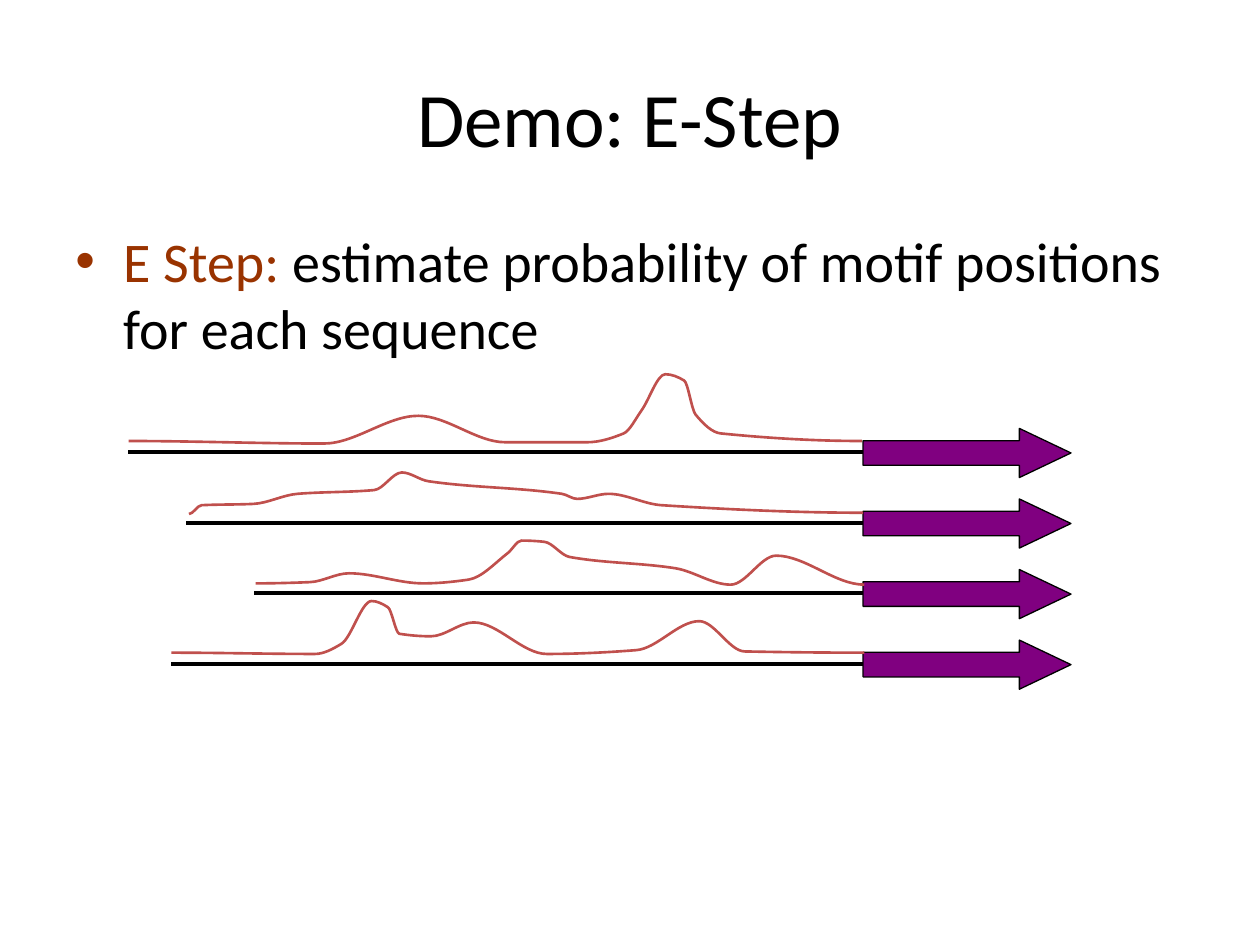
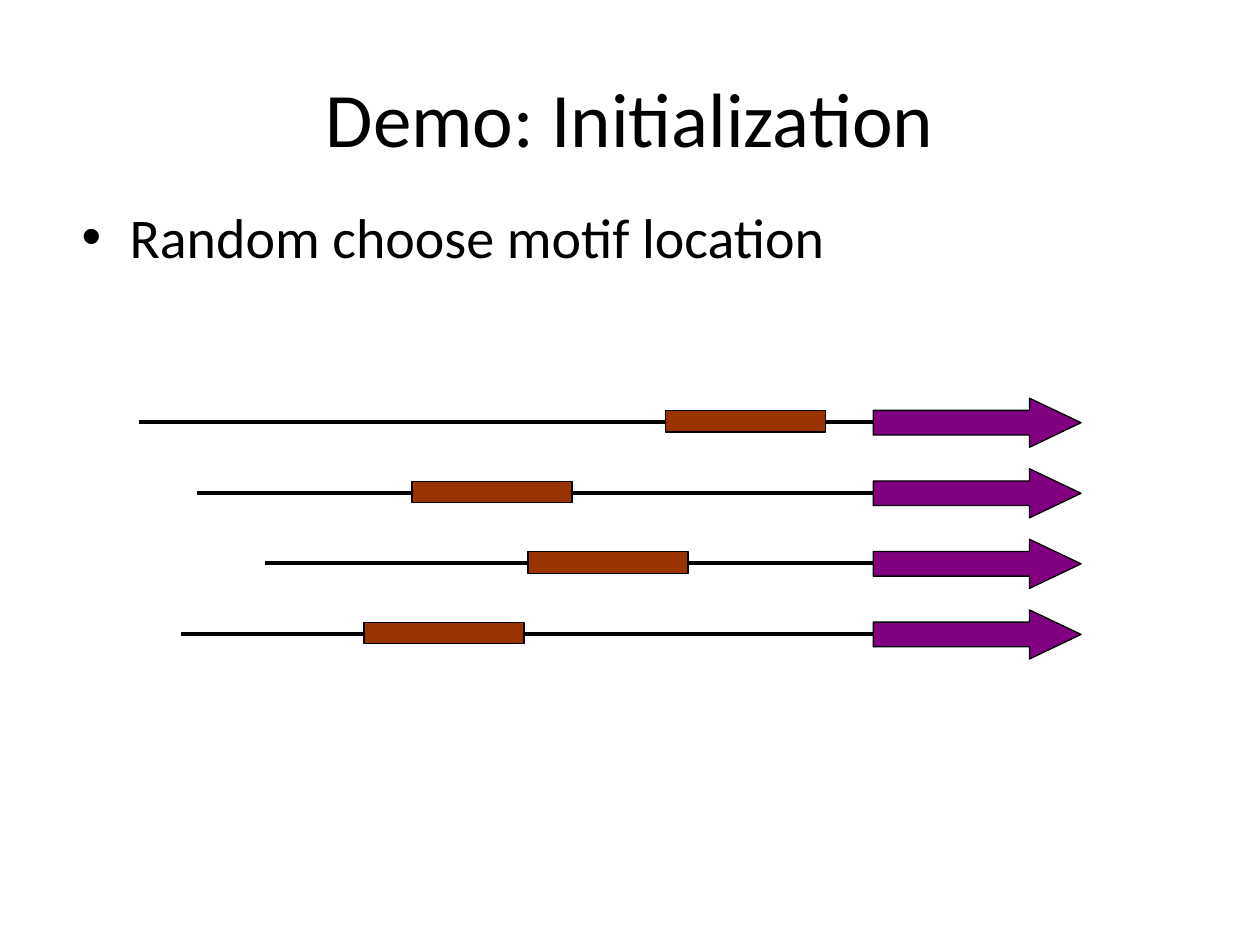
import lxml.etree
import pptx
import pptx.dml.color
import pptx.enum.shapes
import pptx.enum.text
import pptx.oxml.ns
import pptx.util

EMU_PER_PX = 9144  # 100 px to the inch
FONT = "Calibri"
BLACK, RUST, PURPLE, RED = "000000", "993300", "800080", "C0504D"

SEQUENCE_STARTS = [102, 148, 202, 136]
SEQUENCE_END = 839
ROW_PITCH = 56
GENE_LEFT, GENE_WIDTH, GENE_HEIGHT = 685, 165, 39
MOTIF_LEFTS = [528, 327, 419, 289]
MOTIF_WIDTH, MOTIF_HEIGHT = 127, 17

# Turning points of each probability curve: x and height above its sequence.
PROBABILITIES = [
    [(102, 9), (257, 7), (332, 29), (401, 8), (466, 8), (495, 15),
     (509, 33), (528, 62), (543, 57), (552, 30), (572, 15), (684, 9)],
    [(150, 7), (160, 14), (201, 15), (236, 23), (297, 26), (319, 40),
     (340, 33), (446, 23), (458, 19), (483, 23), (525, 14), (685, 8)],
    [(203, 8), (246, 9), (277, 16), (336, 8), (372, 11), (403, 32), (414, 42),
     (432, 41), (452, 29), (536, 20), (580, 7), (616, 30), (686, 7)],
    [(136, 9), (250, 8), (271, 16), (295, 50), (308, 45), (317, 24),
     (342, 22), (376, 33), (434, 8), (505, 11), (555, 34), (591, 10),
     (686, 9)],
]


def px(length):
    return pptx.util.Emu(round(length * EMU_PER_PX))


def color(hex_string):
    return pptx.dml.color.RGBColor.from_string(hex_string)


def set_line(shape, hex_string, points):
    shape.line.color.rgb = color(hex_string)
    shape.line.width = pptx.util.Pt(points)


def add_text(slide, box, size, runs):
    """Add one paragraph made of (text, colour) runs."""
    frame = slide.shapes.add_textbox(*map(px, box)).text_frame
    frame.word_wrap = True
    paragraph = frame.paragraphs[0]
    for text, hex_string in runs:
        run = paragraph.add_run()
        run.text = text
        run.font.name = FONT
        run.font.size = pptx.util.Pt(size)
        run.font.color.rgb = color(hex_string)
    return frame


def add_title(slide, text):
    frame = add_text(slide, (50, 30, 900, 125), 44, [(text, BLACK)])
    frame.vertical_anchor = pptx.enum.text.MSO_ANCHOR.MIDDLE
    frame.paragraphs[0].alignment = pptx.enum.text.PP_ALIGN.CENTER


def add_bullet(slide, left, top, runs):
    frame = add_text(slide, (left, top, 900, 495), 32, runs)
    properties = frame.paragraphs[0]._p.get_or_add_pPr()
    properties.set("marL", str(px(38)))
    properties.set("indent", str(px(-38)))
    qn = pptx.oxml.ns.qn
    lxml.etree.SubElement(properties, qn("a:buFont"), typeface="Arial")
    lxml.etree.SubElement(properties, qn("a:buChar"), char="•")


def add_block(slide, preset, box, fill):
    block = slide.shapes.add_shape(preset, *map(px, box))
    block.shadow.inherit = False
    block.fill.solid()
    block.fill.fore_color.rgb = color(fill)
    set_line(block, BLACK, 0.75)
    return block


def add_sequence(slide, start, middle, shift):
    """Draw a sequence line that runs into its gene arrow."""
    strand = slide.shapes.add_connector(
        pptx.enum.shapes.MSO_CONNECTOR.STRAIGHT,
        px(start + shift), px(middle), px(SEQUENCE_END + shift), px(middle))
    set_line(strand, BLACK, 2.25)
    lxml.etree.SubElement(strand._element.spPr, pptx.oxml.ns.qn("a:effectLst"))
    gene = add_block(
        slide, pptx.enum.shapes.MSO_SHAPE.RIGHT_ARROW,
        (GENE_LEFT + shift, middle - GENE_HEIGHT // 2, GENE_WIDTH, GENE_HEIGHT),
        PURPLE)
    gene.adjustments[0] = 0.5
    gene.adjustments[1] = 1.05


def add_sequences(slide, first_middle, shift=0):
    """Draw all sequences and return the middle of each row."""
    middles = [first_middle + row * ROW_PITCH
               for row in range(len(SEQUENCE_STARTS))]
    for start, middle in zip(SEQUENCE_STARTS, middles):
        add_sequence(slide, start, middle, shift)
    return middles


def smooth_slopes(points):
    """Return a slope per point: level at peaks, a harmonic mean between."""
    steps = [(y2 - y1) / (x2 - x1)
             for (x1, y1), (x2, y2) in zip(points, points[1:])]
    inner = [2 * a * b / (a + b) if a * b > 0 else 0
             for a, b in zip(steps, steps[1:])]
    return [0, *inner, 0]


def bezier_points(points):
    """Return the two controls and the end of each smooth segment."""
    slopes = smooth_slopes(points)
    result = []
    for i, ((x1, y1), (x2, y2)) in enumerate(zip(points, points[1:])):
        third = (x2 - x1) / 3
        result += [(x1 + third, y1 + slopes[i] * third),
                   (x2 - third, y2 - slopes[i + 1] * third),
                   (x2, y2)]
    return result


def add_probability_curve(slide, heights, middle):
    points = [(x, middle - height) for x, height in heights]
    builder = slide.shapes.build_freeform(*map(px, points[0]))
    builder.add_line_segments(
        [(px(x), px(y)) for x, y in bezier_points(points)], close=False)
    curve = builder.convert_to_shape()
    curve.shadow.inherit = False
    curve.fill.background()
    set_line(curve, RED, 1.5)
    # Turn every three straight segments into one Bezier segment.
    outline = curve._element.xpath(".//a:path")[0]
    segments = outline.xpath("./a:lnTo")
    for first in range(0, len(segments), 3):
        bezier = lxml.etree.SubElement(
            outline, pptx.oxml.ns.qn("a:cubicBezTo"))
        for segment in segments[first:first + 3]:
            bezier.append(segment[0])
            outline.remove(segment)


def add_blank_slide(deck):
    return deck.slides.add_slide(deck.slide_layouts[6])


def build_e_step(deck):
    slide = add_blank_slide(deck)
    add_title(slide, "Demo: E-Step")
    add_bullet(slide, 50, 175, [
        ("E Step:", RUST),
        (" estimate probability of motif positions for each sequence", BLACK)])
    middles = add_sequences(slide, 359)
    for heights, middle in zip(PROBABILITIES, middles):
        add_probability_curve(slide, heights, middle)


def build_initialization(deck):
    slide = add_blank_slide(deck)
    add_title(slide, "Demo: Initialization")
    add_bullet(slide, 55, 156, [("Random choose motif location", BLACK)])
    middles = add_sequences(slide, 335, shift=8)
    for left, middle in zip(MOTIF_LEFTS, middles):
        add_block(slide, pptx.enum.shapes.MSO_SHAPE.RECTANGLE,
                  (left, middle - 9, MOTIF_WIDTH, MOTIF_HEIGHT), RUST)


def main():
    deck = pptx.Presentation()
    deck.slide_width, deck.slide_height = px(1000), px(750)
    build_e_step(deck)
    build_initialization(deck)
    deck.save("out.pptx")


if __name__ == "__main__":
    main()
